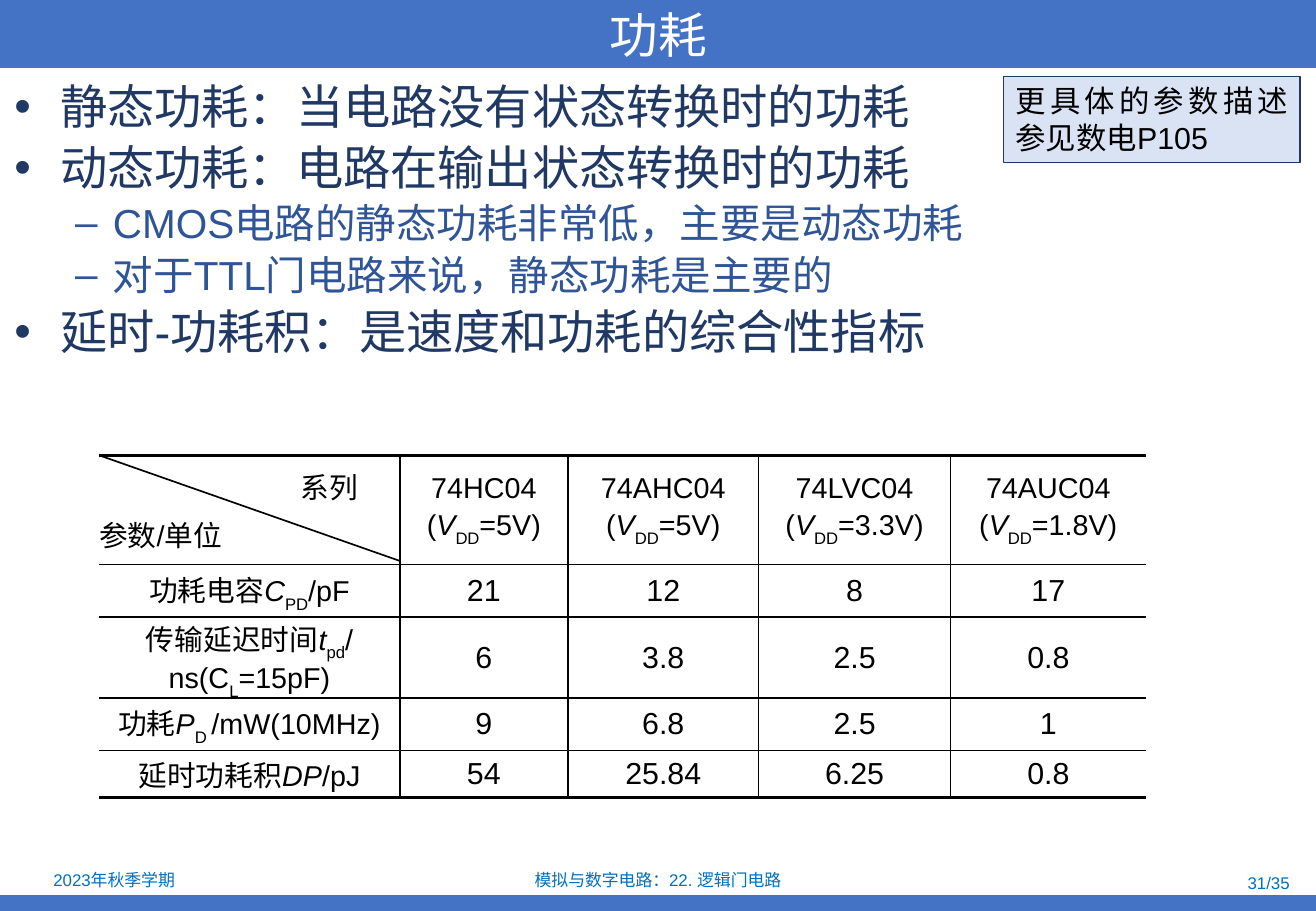
from lxml.etree import SubElement
from pptx import Presentation
from pptx.dml.color import RGBColor
from pptx.enum.shapes import MSO_CONNECTOR, MSO_SHAPE
from pptx.enum.text import MSO_ANCHOR, MSO_AUTO_SIZE, PP_ALIGN
from pptx.oxml.ns import qn
from pptx.util import Cm, Pt

BLUE = RGBColor(0x44, 0x72, 0xC4)
NAVY = RGBColor(0x20, 0x38, 0x64)
MID_BLUE = RGBColor(0x2F, 0x55, 0x97)
PALE_BLUE = RGBColor(0xDA, 0xE3, 0xF3)
FOOTER_BLUE = RGBColor(0x00, 0x70, 0xC0)
BLACK = RGBColor(0, 0, 0)
WHITE = RGBColor(0xFF, 0xFF, 0xFF)
LATIN_FONT = "Arial"
CHINESE_FONT = "Noto Sans CJK SC"

TITLE = "功耗"
POINTS = [
    (0, "静态功耗：当电路没有状态转换时的功耗"),
    (0, "动态功耗：电路在输出状态转换时的功耗"),
    (1, "CMOS电路的静态功耗非常低，主要是动态功耗"),
    (1, "对于TTL门电路来说，静态功耗是主要的"),
    (0, "延时-功耗积：是速度和功耗的综合性指标"),
]
# bullet, left margin, hanging indent (cm), size, space before (pt), colour
LEVELS = [
    ("•", 0.96, 0.96, 28, 5.6, NAVY),
    ("–", 2.06, 0.79, 24, 4.8, MID_BLUE),
]
NOTE = "更具体的参数描述参见数电P105"
# text, left, top, width, height (cm), alignment
FOOTERS = [
    ("2023年秋季学期", 0.05, 18.11, 4.67, 0.58, PP_ALIGN.CENTER),
    ("模拟与数字电路：22. 逻辑门电路", 9.4, 18.14, 8.71, 0.53, PP_ALIGN.CENTER),
    ("31/35", 20.78, 18.19, 6.43, 0.53, PP_ALIGN.RIGHT),
]

# Formatted text is a list of (text, style) pairs
SERIES = [("74HC04", "5"), ("74AHC04", "5"), ("74LVC04", "3.3"), ("74AUC04", "1.8")]
CORNER = ("系列", "参数/单位")
ROWS = [
    ([("功耗电容", ""), ("C", "italic"), ("PD", "sub"), ("/pF", "")],
     ["21", "12", "8", "17"]),
    ([("传输延迟时间", ""), ("t", "italic"), ("pd", "sub"), ("/ns(C", ""),
      ("L", "sub"), ("=15pF)", "")],
     ["6", "3.8", "2.5", "0.8"]),
    ([("功耗", ""), ("P", "italic"), ("D ", "sub"), ("/mW(10MHz)", "")],
     ["9", "6.8", "2.5", "1"]),
    ([("延时功耗积", ""), ("DP", "italic"), ("/pJ", "")],
     ["54", "25.84", "6.25", "0.8"]),
]
TABLE_LEFT, TABLE_TOP = 2.07, 9.52
COLUMN_WIDTHS = [6.29, 3.51, 3.99, 4.01, 4.09]
ROW_HEIGHTS = [2.29, 1.09, 1.7, 1.09, 0.99]
LABEL_SIZE, VALUE_SIZE = 17, 18
SLIDE_WIDTH, SLIDE_HEIGHT = 27.51, 19.05


def write(paragraph, text, *, size, color=BLACK, align=PP_ALIGN.LEFT, font=LATIN_FONT,
          before=0, after=0, line_spacing=None, left=0, hanging=0, bullet=None):
    properties = paragraph._p.get_or_add_pPr()
    properties.set("marL", str(Cm(left)))
    properties.set("indent", str(-Cm(hanging)))
    if bullet:
        SubElement(properties, qn("a:buFont")).set("typeface", LATIN_FONT)
        SubElement(properties, qn("a:buChar")).set("char", bullet)
    paragraph.alignment = align
    paragraph.space_before, paragraph.space_after = Pt(before), Pt(after)
    paragraph.line_spacing = line_spacing
    for piece, style in [(text, "")] if isinstance(text, str) else text:
        run = paragraph.add_run()
        run.text = piece
        run.font.size, run.font.name = Pt(size), font
        run.font.color.rgb = color
        if style == "italic":
            run.font.italic = True
        run_properties = run._r.get_or_add_rPr()
        if style == "sub":
            run_properties.set("baseline", "-30000")
        SubElement(run_properties, qn("a:ea")).set("typeface", CHINESE_FONT)


def next_paragraph(frame, index):
    return frame.paragraphs[0] if index == 0 else frame.add_paragraph()


def place(shape, left, top, width, height):
    shape.left, shape.top = Cm(left), Cm(top)
    shape.width, shape.height = Cm(width), Cm(height)


def add_box(slide, left, top, width, height, fill, line=None):
    shape = slide.shapes.add_shape(
        MSO_SHAPE.RECTANGLE, Cm(left), Cm(top), Cm(width), Cm(height))
    shape.shadow.inherit = False
    shape.fill.solid()
    shape.fill.fore_color.rgb = fill
    if line is None:
        shape.line.fill.background()
    else:
        shape.line.color.rgb = line
        shape.line.width = Pt(0.75)
    return shape


def add_text_frame(slide, left, top, width, height, anchor=MSO_ANCHOR.TOP):
    box = slide.shapes.add_textbox(Cm(left), Cm(top), Cm(width), Cm(height))
    box.text_frame.word_wrap = True
    box.text_frame.vertical_anchor = anchor
    return box.text_frame


def set_borders(cell, **widths):
    """Draw the sides L, R, T and B in points; a width of 0 hides a side."""
    properties = cell._tc.get_or_add_tcPr()
    for position, (side, width) in enumerate(widths.items()):
        line = properties.makeelement(qn(f"a:ln{side}"), {"w": str(Pt(width))})
        properties.insert(position, line)
        if width:
            fill = SubElement(line, qn("a:solidFill"))
            SubElement(fill, qn("a:srgbClr")).set("val", str(BLACK))
        else:
            SubElement(line, qn("a:noFill"))


def add_parameter_table(slide):
    header = [[name, [("(", ""), ("V", "italic"), ("DD", "sub"), (f"={volts}V)", "")]]
              for name, volts in SERIES]
    grid = [[list(CORNER)] + header]
    grid += [[[label]] + [[value] for value in values] for label, values in ROWS]
    last_row, last_column = len(grid) - 1, len(grid[0]) - 1
    table = slide.shapes.add_table(
        len(grid), len(grid[0]), Cm(TABLE_LEFT), Cm(TABLE_TOP),
        Cm(sum(COLUMN_WIDTHS)), Cm(sum(ROW_HEIGHTS))).table
    table.first_row = table.horz_banding = False
    for column, width in zip(table.columns, COLUMN_WIDTHS):
        column.width = Cm(width)
    for row, height in zip(table.rows, ROW_HEIGHTS):
        row.height = Cm(height)
    for r, row in enumerate(grid):
        for c, lines in enumerate(row):
            cell = table.cell(r, c)
            cell.fill.background()
            cell.vertical_anchor = MSO_ANCHOR.MIDDLE
            cell.margin_left = cell.margin_right = 0
            cell.margin_top = cell.margin_bottom = 0
            set_borders(cell, L=int(c > 0), R=int(c < last_column),
                        T=2 if r == 0 else 1, B=2 if r == last_row else 1)
            size = VALUE_SIZE if r and c else LABEL_SIZE
            is_corner = r == c == 0
            for index, line in enumerate(lines):
                write(next_paragraph(cell.text_frame, index), line, size=size,
                      after=size * 0.2,
                      align=PP_ALIGN.LEFT if is_corner else PP_ALIGN.CENTER,
                      left=4.22 if is_corner and index == 0 else 0)


def main():
    presentation = Presentation()
    presentation.slide_width, presentation.slide_height = Cm(SLIDE_WIDTH), Cm(SLIDE_HEIGHT)
    slide = presentation.slides.add_slide(presentation.slide_layouts[5])

    add_box(slide, 0, 18.72, SLIDE_WIDTH, 0.33, BLUE)
    title = slide.shapes.title
    place(title, 0, 0, SLIDE_WIDTH, 1.42)
    title.fill.solid()
    title.fill.fore_color.rgb = BLUE
    title.text_frame.auto_size = MSO_AUTO_SIZE.NONE
    title.text_frame.vertical_anchor = MSO_ANCHOR.MIDDLE
    write(title.text_frame.paragraphs[0], TITLE, size=28.8, color=WHITE,
          align=PP_ALIGN.CENTER, font=CHINESE_FONT)

    body = add_text_frame(slide, 0.05, 1.63, 27.46, 7.2)
    for index, (level, text) in enumerate(POINTS):
        bullet, left, hanging, size, before, color = LEVELS[level]
        write(next_paragraph(body, index), text, size=size, color=color, bullet=bullet,
              left=left, hanging=hanging, before=before if index else 0, line_spacing=0.9)

    for text, left, top, width, height, align in FOOTERS:
        frame = add_text_frame(slide, left, top, width, height, MSO_ANCHOR.MIDDLE)
        write(frame.paragraphs[0], text, size=10, color=FOOTER_BLUE, align=align)

    add_parameter_table(slide)
    diagonal = slide.shapes.add_connector(
        MSO_CONNECTOR.STRAIGHT, Cm(TABLE_LEFT), Cm(TABLE_TOP), Cm(8.36), Cm(11.73))
    diagonal.line.color.rgb = BLACK
    diagonal.line.width = Pt(1)
    SubElement(diagonal._element.spPr, qn("a:effectLst"))

    note = add_box(slide, 20.98, 1.6, 6.2, 1.8, PALE_BLUE, NAVY)
    note.text_frame.word_wrap = True
    note.text_frame.vertical_anchor = MSO_ANCHOR.TOP
    write(note.text_frame.paragraphs[0], NOTE, size=18, align=PP_ALIGN.JUSTIFY)

    presentation.save("out.pptx")


if __name__ == "__main__":
    main()
